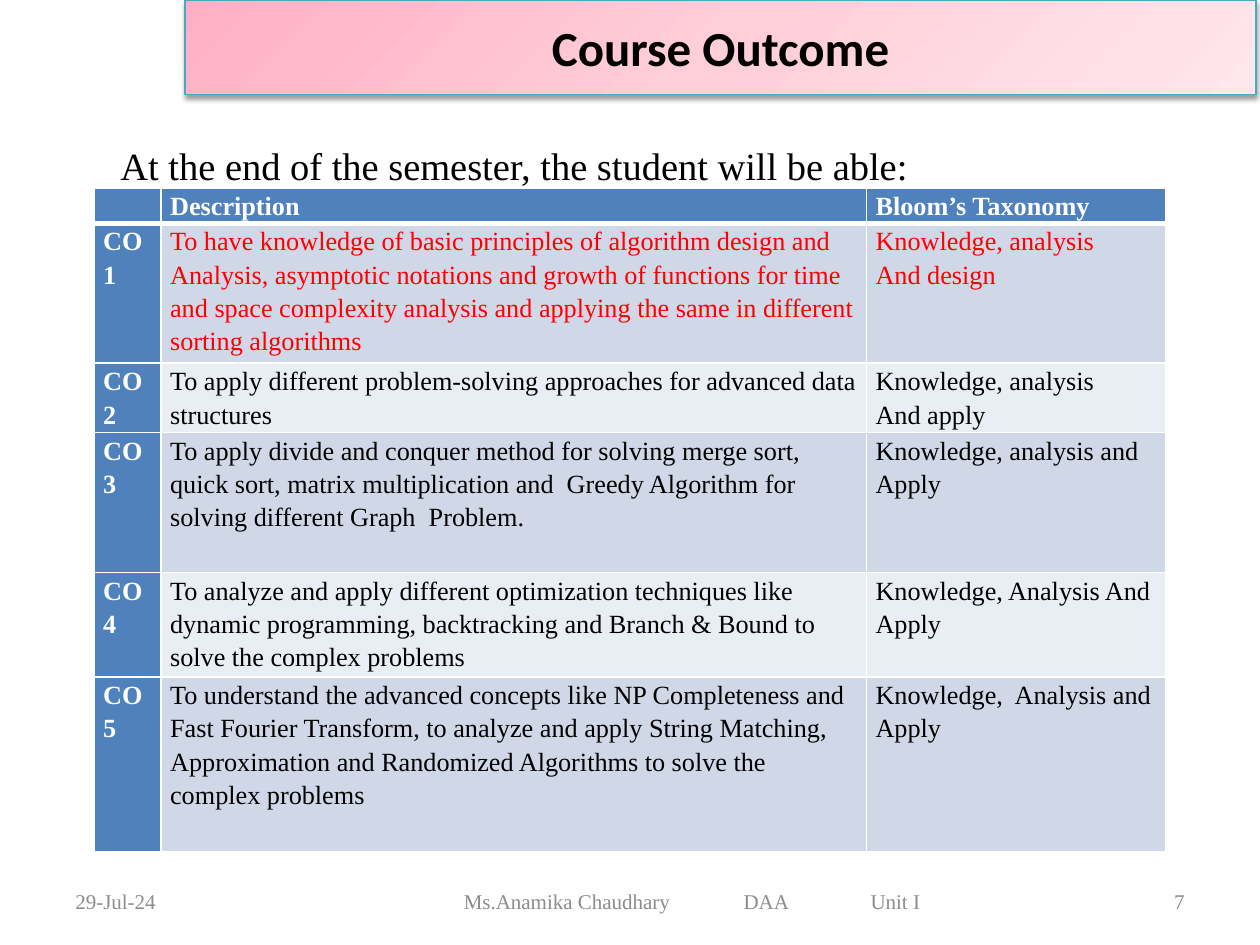
from lxml import etree
from pptx import Presentation
from pptx import util as u
from pptx.dml.color import RGBColor
from pptx.enum import shapes, text
from pptx.oxml import parse_xml
from pptx.oxml.ns import nsdecls, qn

SERIF = "Times New Roman"
LEFT, CENTER, RIGHT = text.PP_ALIGN.LEFT, text.PP_ALIGN.CENTER, text.PP_ALIGN.RIGHT


def color(value):
    return RGBColor.from_string(value)


def write(paragraph, words, ink, **formats):
    run = paragraph.add_run()
    run.text = words
    run.font.color.rgb = color(ink)
    for key, value in formats.items():
        setattr(run.font, key, value)


deck = Presentation()
deck.slide_width, deck.slide_height = u.Cm(25.4), u.Cm(19.05)
slide = deck.slides.add_slide(deck.slide_layouts[6])

# Course outcome table
headings = ("", "Description", "Bloom’s Taxonomy")
outcomes = [
    ("To have knowledge of basic principles of algorithm design and Analysis, "
     "asymptotic notations and growth of functions for time and space complexity "
     "analysis and applying the same in different sorting algorithms",
     "Knowledge, analysis\nAnd design"),
    ("To apply different problem-solving approaches for advanced data structures",
     "Knowledge, analysis\nAnd apply"),
    ("To apply divide and conquer method for solving merge sort, quick sort, "
     "matrix multiplication and  Greedy Algorithm for solving different Graph  Problem.",
     "Knowledge, analysis and Apply"),
    ("To analyze and apply different optimization techniques like dynamic "
     "programming, backtracking and Branch & Bound to solve the complex problems",
     "Knowledge, Analysis And Apply"),
    ("To understand the advanced concepts like NP Completeness and Fast Fourier "
     "Transform, to analyze and apply String Matching, Approximation and Randomized "
     "Algorithms to solve the complex problems",
     "Knowledge,  Analysis and Apply"),
]
rows = [headings] + [(f"CO{n}", *outcome) for n, outcome in enumerate(outcomes, 1)]
column_widths = (1.35, 14.22, 6.02)
row_heights = (0.71, 2.82, 1.4, 2.82, 2.11, 3.53)
cell_format = {"margin_left": u.Cm(0.18), "margin_right": u.Cm(0.18),
               "margin_top": 0, "margin_bottom": 0}

table = slide.shapes.add_table(len(rows), len(headings), u.Cm(1.9), u.Cm(3.79),
                               u.Cm(sum(column_widths)), u.Cm(sum(row_heights))).table
for column, width in zip(table.columns, column_widths):
    column.width = u.Cm(width)
for row, height in zip(table.rows, row_heights):
    row.height = u.Cm(height)

for r, row in enumerate(rows):
    for c, words in enumerate(row):
        cell = table.cell(r, c)
        heading = r == 0 or c == 0
        for key, value in cell_format.items():
            setattr(cell, key, value)
        cell.fill.solid()
        cell.fill.fore_color.rgb = color(
            "4F81BD" if heading else "D0D8E8" if r % 2 else "E9EDF4")

        # White borders, thicker between the heading row and the first outcome
        for position, side in enumerate("LRTB"):
            thick = (r, side) in ((0, "B"), (1, "T"))
            cell._tc.get_or_add_tcPr().insert(position, parse_xml(
                f'<a:ln{side} {nsdecls("a")} w="{38100 if thick else 12700}">'
                f'<a:solidFill><a:srgbClr val="FFFFFF"/></a:solidFill></a:ln{side}>'))

        ink = "FFFFFF" if heading else "FF0000" if r == 1 else "000000"
        for n, line in enumerate(words.split("\n")):
            paragraph = cell.text_frame.add_paragraph() if n else cell.text_frame.paragraphs[0]
            paragraph.line_spacing = 1.15
            if line:
                write(paragraph, line, ink, size=u.Pt(15), name=SERIF, bold=heading)
            else:
                etree.SubElement(paragraph._p, qn("a:endParaRPr"), sz="1500")

# Footer: date, author with course and unit, page number
footer = [
    (1.27, 5.92, LEFT, 0.25, "29-Jul-24"),
    (6.99, 13.97, LEFT, 2.36, "Ms.Anamika Chaudhary\tDAA\tUnit I"),
    (18.21, 5.92, RIGHT, 0.25, "7"),
]
footer_tabs = (5.64, 8.2)
for left, width, align, inset, words in footer:
    frame = slide.shapes.add_textbox(u.Cm(left), u.Cm(17.65), u.Cm(width), u.Cm(1.02)).text_frame
    frame.word_wrap = True
    frame.vertical_anchor = text.MSO_ANCHOR.MIDDLE
    frame.margin_left = u.Cm(inset)
    paragraph = frame.paragraphs[0]
    if "\t" in words:
        tabs = etree.SubElement(paragraph._p.get_or_add_pPr(), qn("a:tabLst"))
        for stop in footer_tabs:
            etree.SubElement(tabs, qn("a:tab"), pos=str(int(u.Cm(stop))), algn="l")
    paragraph.alignment = align
    write(paragraph, words, "8C8C8C", size=u.Pt(12), name=SERIF)

# Title banner with a pink gradient and a soft shadow
banner = slide.shapes.add_shape(shapes.MSO_SHAPE.RECTANGLE,
                                u.Cm(3.73), 0, u.Cm(21.59), u.Cm(1.91))
banner.line.color.rgb = color("46AAC5")
banner.line.width = u.Pt(0.75)
stops = "".join(f'<a:gs pos="{place * 1000}"><a:srgbClr val="{tint}"/></a:gs>'
                for place, tint in ((0, "FFAFC4"), (50, "FFCED9"), (100, "FFE7EC")))
properties = banner._element.spPr
properties.find(qn("a:prstGeom")).addnext(parse_xml(
    f'<a:gradFill {nsdecls("a")} rotWithShape="1"><a:gsLst>{stops}</a:gsLst>'
    '<a:lin ang="2700000" scaled="0"/></a:gradFill>'))
properties.append(parse_xml(
    f'<a:effectLst {nsdecls("a")}><a:outerShdw blurRad="39370" dist="20320" dir="5400000" '
    'rotWithShape="0"><a:srgbClr val="000000"><a:alpha val="38000"/></a:srgbClr>'
    '</a:outerShdw></a:effectLst>'))
banner.text_frame.vertical_anchor = text.MSO_ANCHOR.MIDDLE
title = banner.text_frame.paragraphs[0]
title.alignment = CENTER
write(title, "Course Outcome", "000000", size=u.Pt(28), name="Calibri", bold=True)

# Lead-in sentence
lead_frame = slide.shapes.add_textbox(u.Cm(2.18), u.Cm(2.59), u.Cm(21.59), u.Cm(1.27)).text_frame
lead_frame.word_wrap = True
lead_frame.auto_size = text.MSO_AUTO_SIZE.SHAPE_TO_FIT_TEXT
lead = lead_frame.paragraphs[0]
lead.line_spacing = 1.15
lead.space_after = u.Pt(10)
write(lead, "At the end of the semester, the student will be able:", "000000",
      size=u.Pt(22), name=SERIF)

deck.save("out.pptx")
